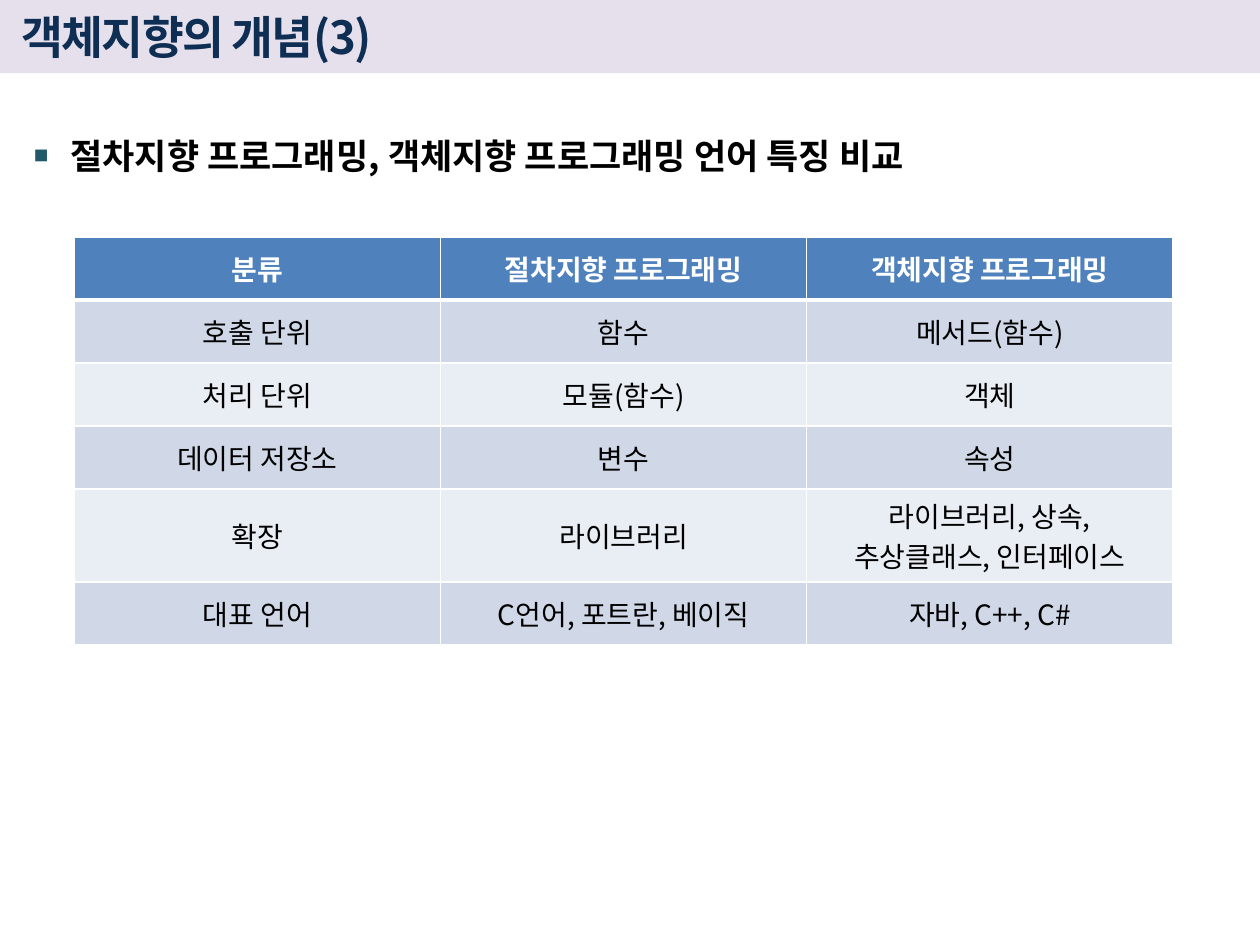
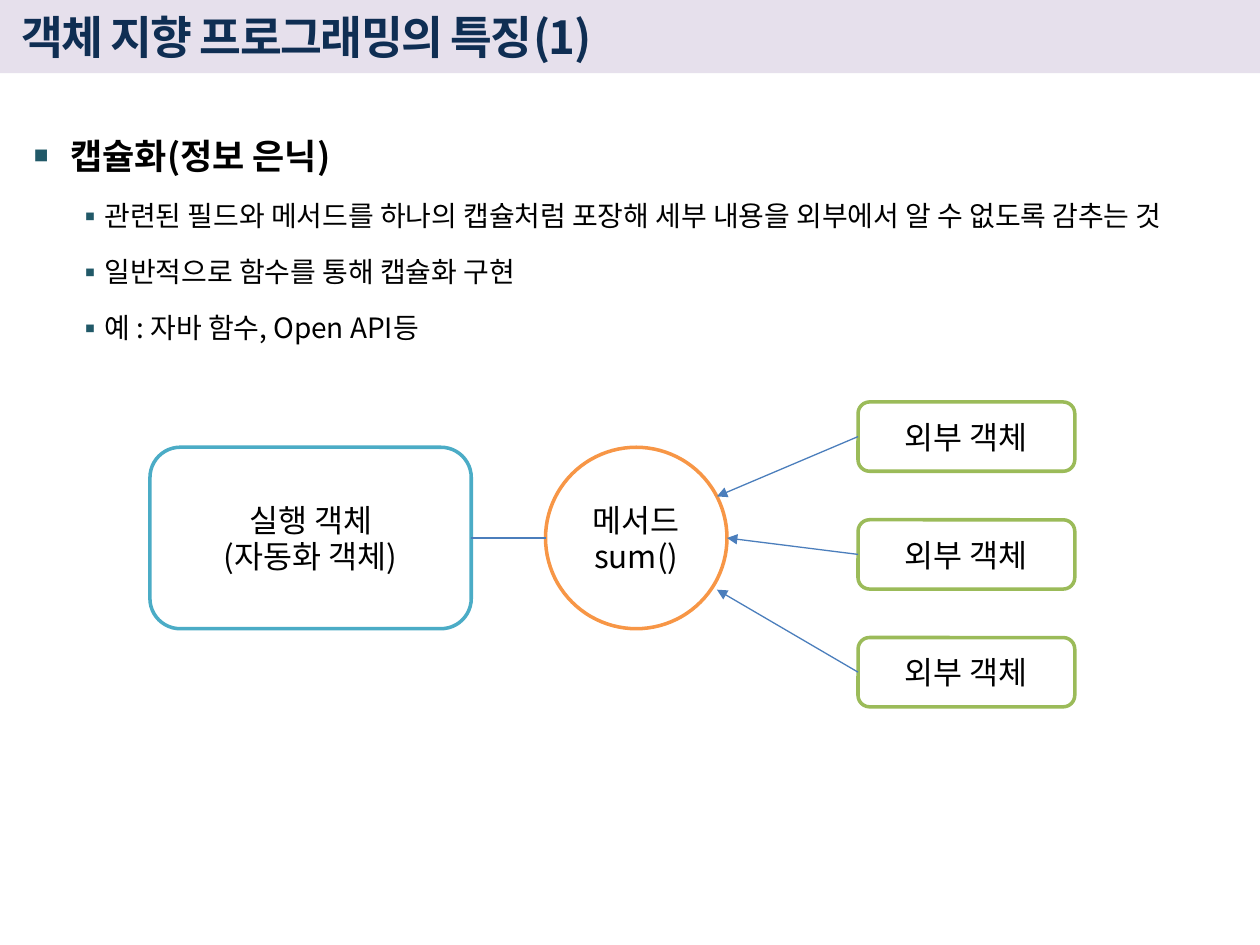
from lxml import etree
from pptx import Presentation
from pptx.dml.color import RGBColor
from pptx.enum.shapes import MSO_CONNECTOR, MSO_SHAPE
from pptx.enum.text import MSO_ANCHOR, PP_ALIGN
from pptx.oxml.ns import qn
from pptx.util import Inches, Pt

RECT, ROUND, OVAL = MSO_SHAPE.RECTANGLE, MSO_SHAPE.ROUNDED_RECTANGLE, MSO_SHAPE.OVAL
STRAIGHT = MSO_CONNECTOR.STRAIGHT
MIDDLE, CENTER = MSO_ANCHOR.MIDDLE, PP_ALIGN.CENTER
LEFT_SIDE, RIGHT_SIDE = 1, 3

FONT = "Noto Sans CJK KR"
BLACK, WHITE = "000000", "FFFFFF"
BAND, NAVY, TEAL = "E6E0EC", "0F2E53", "215968"
HEAD, ROWS = "4F81BD", ("D0D8E8", "E9EDF4")
CYAN, ORANGE, GREEN, WIRE = "4BACC6", "F79646", "9BBB59", "4B7EBC"

TITLE = {"size": Pt(26), "bold": True}
CELL = {"size": Pt(16), "bold": False}
NODE = {"size": Pt(18), "bold": False}

# Bullet levels: mark, mark size in %, left and hanging indent, paragraph and font formats
LEVELS = (
    ("■", 42, 0.39, 0.29, {"line_spacing": Pt(36)}, {"size": Pt(20), "bold": True}),
    ("▪", 100, 0.65, 0.21, {"line_spacing": Pt(28.8), "space_before": Pt(3.2)}, CELL),
)


def rgb(code):
    return RGBColor.from_string(code)


def apply(obj, form):
    for name, value in form.items():
        setattr(obj, name, value)


def sub(parent, tag, **attrs):
    return etree.SubElement(parent, qn(tag), {k: str(v) for k, v in attrs.items()})


def write(para, text, form, color=BLACK):
    run = para.add_run()
    run.text = text
    apply(run.font, form)
    run.font.name = FONT
    run.font.color.rgb = rgb(color)
    props = run.font._element
    sub(props, "a:ea", typeface=FONT)
    return props


def write_lines(frame, lines, form, color=BLACK, pitch=None):
    """Centred lines; pitch is the height of each line after the first."""
    for i, text in enumerate(lines):
        para = frame.add_paragraph() if i else frame.paragraphs[0]
        para.alignment = CENTER
        if i and pitch:
            para.line_spacing = pitch
        write(para, text, form, color)


def add_text(slide, box):
    frame = slide.shapes.add_textbox(*map(Inches, box)).text_frame
    frame.word_wrap = True
    return frame


def add_box(slide, kind, box, fill, edge=None):
    shape = slide.shapes.add_shape(kind, *map(Inches, box))
    shape.shadow.inherit = False
    shape.fill.solid()
    shape.fill.fore_color.rgb = rgb(fill)
    if edge:
        shape.line.color.rgb = rgb(edge)
        shape.line.width = Pt(2)
    else:
        shape.line.fill.background()
    return shape


def add_page(deck, title):
    slide = deck.slides.add_slide(deck.slide_layouts[6])
    # Title band
    add_box(slide, RECT, (0, 0, 10, 0.58), BAND)
    frame = add_text(slide, (0.07, 0.03, 8.51, 0.52))
    frame.vertical_anchor = MIDDLE
    write(frame.paragraphs[0], title, TITLE, NAVY).set("spc", "-90")
    return slide


def add_list(slide, box, items):
    frame = add_text(slide, box)
    for i, (level, text) in enumerate(items):
        para = frame.add_paragraph() if i else frame.paragraphs[0]
        mark, size, left, hang, spacing, form = LEVELS[level]
        apply(para, spacing)
        props = para._p.get_or_add_pPr()
        props.set("marL", str(Inches(left)))
        props.set("indent", str(-Inches(hang)))
        sub(sub(props, "a:buClr"), "a:srgbClr", val=TEAL)
        sub(props, "a:buSzPct", val=size * 1000)
        sub(props, "a:buFont", typeface=FONT)
        sub(props, "a:buChar", char=mark)
        write(para, text, form)


def add_edges(cell, widths):
    props = cell._tc.get_or_add_tcPr()
    for side, width in zip("LRTB", widths):
        line = sub(props, "a:ln" + side, w=Pt(width))
        sub(sub(line, "a:solidFill"), "a:srgbClr", val=WHITE)


def add_grid(slide, box, rows):
    """Table whose rows of two lines are taller by a fixed amount."""
    count = len(rows[0])
    grid = slide.shapes.add_table(len(rows), count, *map(Inches, box)).table
    for col in grid.columns:
        col.width = Inches(box[2] / count)
    extra = 0.24
    breaks = [max(text.count("\n") for text in texts) for texts in rows]
    base = (box[3] - extra * sum(breaks)) / len(rows)
    for r, texts in enumerate(rows):
        grid.rows[r].height = Inches(base + extra * breaks[r])
        for c, text in enumerate(texts):
            cell = grid.cell(r, c)
            cell.vertical_anchor = MIDDLE
            # The rule under the header is thicker
            add_edges(cell, (1, 1, 3 if r == 1 else 1, 1 if r else 3))
            cell.fill.solid()
            cell.fill.fore_color.rgb = rgb(ROWS[(r - 1) % 2] if r else HEAD)
            form = CELL if r else {**CELL, "bold": True}
            write_lines(cell.text_frame, text.split("\n"), form, BLACK if r else WHITE)


def add_node(slide, kind, box, edge, *lines):
    shape = add_box(slide, kind, box, WHITE, edge)
    shape.text_frame.vertical_anchor = MIDDLE
    write_lines(shape.text_frame, lines, NODE, pitch=Pt(21))
    return shape


def add_wire(slide, start, side, end, arrow=False):
    """Line from the middle of one side of a node to a point."""
    wire = slide.shapes.add_connector(STRAIGHT, 0, 0, *map(Inches, end))
    wire.begin_connect(start, side)
    wire.line.color.rgb = rgb(WIRE)
    wire.line.width = Pt(0.75)
    props = wire.element.spPr
    if arrow:
        sub(props.find(qn("a:ln")), "a:tailEnd", type="triangle")
    sub(props, "a:effectLst")


def add_flow(slide, box):
    """Inner object, its method and the outer objects that call it."""
    x, y, width, height = box
    size = 1.44
    top = y + 0.36
    mid = top + size / 2
    inner = add_node(slide, ROUND, (x, top, 2.55, size), CYAN, "실행 객체", "(자동화 객체)")
    ring = x + 3.14
    add_node(slide, OVAL, (ring, top, size, size), ORANGE, "메서드", "sum()")
    add_wire(slide, inner, RIGHT_SIDE, (ring, mid))

    # Outer objects, evenly spaced, with arrows to the ring's right edge
    wide, high = 1.72, 0.55
    step = (height - high) / 2
    tips = ((-0.08, -0.33), (0, 0), (-0.08, 0.41))
    for i, (dx, dy) in enumerate(tips):
        spot = (x + width - wide, y + i * step, wide, high)
        outer = add_node(slide, ROUND, spot, GREEN, "외부 객체")
        add_wire(slide, outer, LEFT_SIDE, (ring + size + dx, mid + dy), arrow=True)


def main():
    deck = Presentation()
    deck.slide_width, deck.slide_height = Inches(10), Inches(7.5)
    body = (0.07, 0.85, 9.8, 6.2)

    # Comparison table
    slide = add_page(deck, "객체지향의 개념(3)")
    add_list(slide, body, [(0, "절차지향 프로그래밍, 객체지향 프로그래밍 언어 특징 비교")])
    add_grid(slide, (0.59, 1.88, 8.72, 3.24), [
        ("분류", "절차지향 프로그래밍", "객체지향 프로그래밍"),
        ("호출 단위", "함수", "메서드(함수)"),
        ("처리 단위", "모듈(함수)", "객체"),
        ("데이터 저장소", "변수", "속성"),
        ("확장", "라이브러리", "라이브러리, 상속,\n추상클래스, 인터페이스"),
        ("대표 언어", "C언어, 포트란, 베이직", "자바, C++, C#"),
    ])

    # Encapsulation
    slide = add_page(deck, "객체 지향 프로그래밍의 특징(1)")
    add_list(slide, body, [
        (0, "캡슐화(정보 은닉)"),
        (1, "관련된 필드와 메서드를 하나의 캡슐처럼 포장해 세부 내용을 외부에서 알 수 없도록 감추는 것"),
        (1, "일반적으로 함수를 통해 캡슐화 구현"),
        (1, "예 : 자바 함수, Open API등"),
    ])
    add_flow(slide, (1.19, 3.19, 7.34, 2.42))

    deck.save("out.pptx")


if __name__ == "__main__":
    main()
